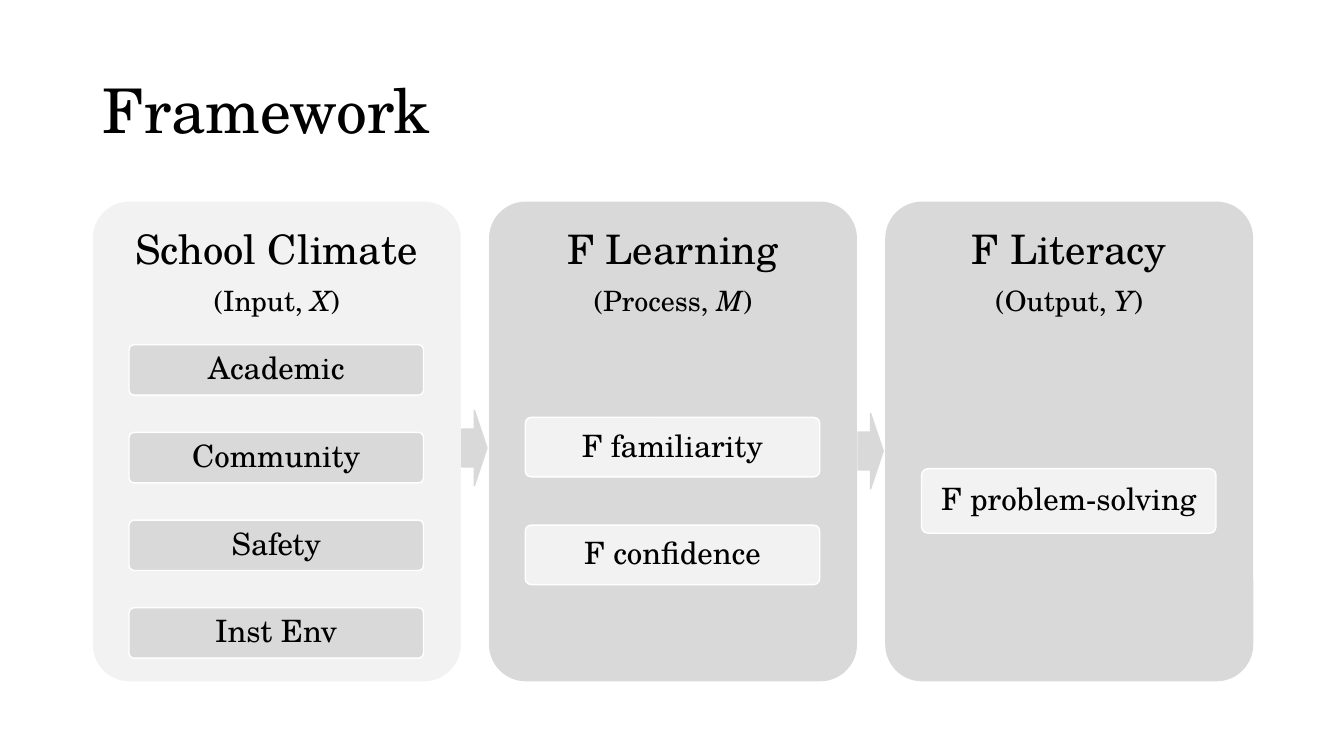
import pptx
import pptx.dml.color
import pptx.enum.shapes
import pptx.enum.text
import pptx.util

PX = 9144  # EMU per px, 100 px to the inch
FONT = "TeX Gyre Schola"
COLOURS = {"text": "000000", "white": "FFFFFF", "light": "F2F2F2", "grey": "D9D9D9"}
SHAPES = pptx.enum.shapes.MSO_SHAPE
ALIGN = pptx.enum.text.PP_ALIGN

PANEL_LEFT, PANEL_TOP, PANEL_WIDTH, PANEL_HEIGHT = 92, 200, 365, 476
PANEL_GAP = 28
HEADING_HEIGHT = 143
LABEL_WIDTH = 292

# heading, role, symbol, panel fill, label fill, first label top, label height, pitch, labels
PANELS = [
    ("School Climate", "Input", "X", "light", "grey", 342, 50, 87,
     ["Academic", "Community", "Safety", "Inst Env"]),
    ("F Learning", "Process", "M", "grey", "light", 414, 59, 107,
     ["F familiarity", "F confidence"]),
    ("F Literacy", "Output", "Y", "grey", "light", 465, 64, 0,
     ["F problem-solving"]),
]
ARROWS = [(458, 407), (851, 410)]


def rgb(name):
    return pptx.dml.color.RGBColor.from_string(COLOURS[name])


def px(*lengths):
    return [pptx.util.Emu(length * PX) for length in lengths]


def add_block(page, kind, place, fill, line=None):
    block = page.shapes.add_shape(kind, *px(*place))
    block.shadow.inherit = False
    block.fill.solid()
    block.fill.fore_color.rgb = rgb(fill)
    if line:
        block.line.color.rgb = rgb(line)
        block.line.width = pptx.util.Pt(1)
    else:
        block.line.fill.background()
    return block


def add_rounded(page, place, fill, line=None):
    block = add_block(page, SHAPES.ROUNDED_RECTANGLE, place, fill, line)
    block.adjustments[0] = 0.1
    return block


def set_frame(box, side, end):
    frame = box.text_frame
    frame.word_wrap = True
    frame.vertical_anchor = pptx.enum.text.MSO_ANCHOR.MIDDLE
    frame.margin_left, frame.margin_right = px(side, side)
    frame.margin_top, frame.margin_bottom = px(end, end)
    return frame


def write(para, size, *texts, align=ALIGN.CENTER):
    para.alignment = align
    para.line_spacing = 0.9
    para.font.name = FONT
    para.font.size = pptx.util.Pt(size)
    para.font.color.rgb = rgb("text")
    for text in texts:
        para.add_run().text = text


def add_title(page, text):
    box = page.shapes.add_textbox(*px(92, 40, 1150, 145))
    write(set_frame(box, 10, 5).paragraphs[0], 44, text, align=ALIGN.LEFT)


def add_heading(page, left, heading, role, symbol):
    box = page.shapes.add_textbox(*px(left, PANEL_TOP, PANEL_WIDTH, HEADING_HEIGHT))
    frame = set_frame(box, 12, 12)
    write(frame.paragraphs[0], 29, heading)
    frame.paragraphs[0].space_after = pptx.util.Pt(10)
    para = frame.add_paragraph()
    write(para, 20, f"({role}, ", symbol, ")")
    para.runs[1].font.italic = True


def add_label(page, place, fill, text):
    label = add_rounded(page, place, fill, "white")
    write(set_frame(label, 7, 6).paragraphs[0], 22, text)


def add_panel(page, left, panel):
    heading, role, symbol, fill, label_fill, top, height, pitch, labels = panel
    add_rounded(page, (left, PANEL_TOP, PANEL_WIDTH, PANEL_HEIGHT), fill)
    add_heading(page, left, heading, role, symbol)
    label_left = left + (PANEL_WIDTH - LABEL_WIDTH) // 2
    for row, text in enumerate(labels):
        add_label(page, (label_left, top + row * pitch, LABEL_WIDTH, height), label_fill, text)


def main():
    deck = pptx.Presentation()
    deck.slide_width, deck.slide_height = px(1333, 750)
    page = deck.slides.add_slide(deck.slide_layouts[6])

    add_title(page, "Framework")

    # Panels with their labels
    for column, panel in enumerate(PANELS):
        add_panel(page, PANEL_LEFT + column * (PANEL_WIDTH + PANEL_GAP), panel)

    # Arrows between the panels
    for left, top in ARROWS:
        add_block(page, SHAPES.RIGHT_ARROW, (left, top, 25, 75), "grey", "grey")

    deck.save("out.pptx")


if __name__ == "__main__":
    main()
